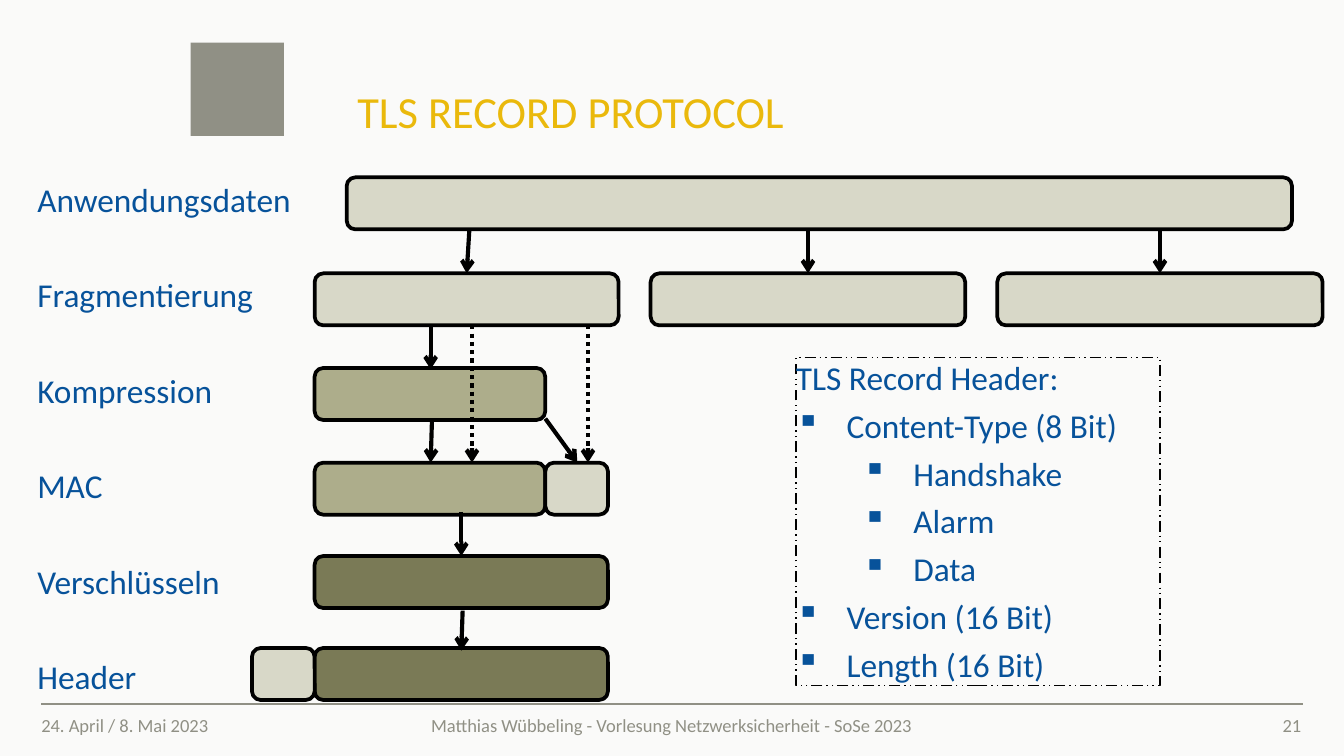
from dataclasses import dataclass
from typing import Any, Optional

from lxml.etree import SubElement
from pptx import Presentation
from pptx.dml.color import RGBColor
from pptx.enum.dml import MSO_LINE
from pptx.enum.shapes import MSO_CONNECTOR, MSO_SHAPE
from pptx.enum.text import MSO_ANCHOR, PP_ALIGN
from pptx.oxml.ns import qn
from pptx.util import Inches, Pt

PAPER = RGBColor(0xFA, 0xFA, 0xF9)
BLUE = RGBColor(0x07, 0x52, 0x9A)
YELLOW = RGBColor(0xEA, 0xB9, 0x0C)
GREY = RGBColor(0x90, 0x90, 0x85)
PLAIN = RGBColor(0xD8, 0xD8, 0xC8)
PACKED = RGBColor(0xAD, 0xAD, 0x8B)
ENCRYPTED = RGBColor(0x7A, 0x7A, 0x56)
BLACK = RGBColor(0x00, 0x00, 0x00)

BAR_HEIGHT = 0.39
APPLICATION, FRAGMENT, COMPRESSION, MAC, ENCRYPTION, HEADER = 1.33, 2.05, 2.76, 3.47, 4.17, 4.86


@dataclass(frozen=True)
class Bar:
    left: float
    top: float
    width: float
    color: RGBColor


@dataclass(frozen=True)
class Line:
    x1: float
    y1: float
    x2: float
    y2: float
    dash: Optional[MSO_LINE] = None


@dataclass(frozen=True)
class Footer:
    left: float
    width: float
    text: str
    align: PP_ALIGN


@dataclass(frozen=True)
class Item:
    text: str
    level: int = 0
    bullet: str = "▪"


BARS = [
    Bar(2.6, APPLICATION, 7.09, PLAIN),
    Bar(2.36, FRAGMENT, 2.28, PLAIN),
    Bar(4.88, FRAGMENT, 2.36, PLAIN),
    Bar(7.48, FRAGMENT, 2.44, PLAIN),
    Bar(2.36, COMPRESSION, 1.73, PACKED),
    Bar(2.36, MAC, 1.73, PACKED),
    Bar(4.09, MAC, 0.47, PLAIN),
    Bar(2.36, ENCRYPTION, 2.2, ENCRYPTED),
    Bar(2.36, HEADER, 2.2, ENCRYPTED),
    Bar(1.89, HEADER, 0.47, PLAIN),
]
ARROWS = [
    Line(3.52, 1.73, 3.5, FRAGMENT),
    Line(6.06, 1.72, 6.06, FRAGMENT),
    Line(8.7, 1.72, 8.7, FRAGMENT),
    Line(3.23, 2.44, 3.23, 2.77),
    Line(3.46, 3.84, 3.46, ENCRYPTION),
    Line(3.47, 4.58, 3.46, 4.88),
    Line(3.24, 3.15, 3.23, MAC),
    Line(4.09, 3.14, 4.33, MAC),
    Line(4.41, 2.44, 4.41, MAC, MSO_LINE.ROUND_DOT),
    Line(3.54, 2.44, 3.54, MAC, MSO_LINE.ROUND_DOT),
]
FOOTERS = [
    Footer(0.31, 1.6, "24. April / 8. Mai 2023", PP_ALIGN.LEFT),
    Footer(2.28, 5.51, "Matthias Wübbeling - Vorlesung Netzwerksicherheit - SoSe 2023", PP_ALIGN.CENTER),
    Footer(9.13, 0.63, "21", PP_ALIGN.RIGHT),
]
LABELS = ["Anwendungsdaten", "Fragmentierung", "Kompression", "MAC", "Verschlüsseln", "Header"]
RECORD_HEADER = [
    Item("TLS Record Header:", bullet=""),
    Item("Content-Type (8 Bit)"),
    Item("Handshake", 1),
    Item("Alarm", 1),
    Item("Data", 1),
    Item("Version (16 Bit)"),
    Item("Length (16 Bit)"),
]


def apply_format(target: Any, values: dict[str, Any]) -> None:
    for name, value in values.items():
        setattr(target, name, value)


def clear_margins(frame: Any, anchor: MSO_ANCHOR) -> None:
    apply_format(frame, {
        "margin_left": 0, "margin_top": 0, "margin_right": 0, "margin_bottom": 0,
        "word_wrap": True, "vertical_anchor": anchor,
    })


def write(para: Any, text: str, size: float, color: RGBColor, values: dict[str, Any]) -> None:
    apply_format(para, values)
    span = para.add_run()
    span.text = text
    apply_format(span.font, {"name": "Calibri", "size": Pt(size), "bold": False})
    span.font.color.rgb = color


def paragraph_at(frame: Any, index: int) -> Any:
    return frame.add_paragraph() if index else frame.paragraphs[0]


def draw_shape(page: Any, kind: MSO_SHAPE, left: float, top: float, width: float, height: float,
               fill: Optional[RGBColor], line_width: float) -> Any:
    shape = page.shapes.add_shape(kind, Inches(left), Inches(top), Inches(width), Inches(height))
    shape.shadow.inherit = False
    if fill is None:
        shape.fill.background()
    else:
        shape.fill.solid()
        shape.fill.fore_color.rgb = fill
    if line_width:
        shape.line.color.rgb = BLACK
        shape.line.width = Pt(line_width)
    else:
        shape.line.fill.background()
    return shape


def draw_line(page: Any, line: Line, color: RGBColor, width: float, arrow: bool) -> None:
    connector = page.shapes.add_connector(
        MSO_CONNECTOR.STRAIGHT, Inches(line.x1), Inches(line.y1), Inches(line.x2), Inches(line.y2))
    connector.line.color.rgb = color
    apply_format(connector.line, {"width": Pt(width), "dash_style": line.dash})
    properties = connector.element.spPr
    if arrow:
        SubElement(properties.find(qn("a:ln")), qn("a:tailEnd"), type="arrow")
    SubElement(properties, qn("a:effectLst"))


def draw_title(page: Any) -> None:
    title = page.shapes.title
    apply_format(title, {"left": Inches(2.68), "top": Inches(0.32),
                         "width": Inches(7.09), "height": Inches(0.71)})
    clear_margins(title.text_frame, MSO_ANCHOR.BOTTOM)
    write(title.text_frame.paragraphs[0], "TLS RECORD PROTOCOL", 24, YELLOW,
          {"alignment": PP_ALIGN.LEFT, "line_spacing": Pt(26)})


def draw_footer(page: Any, footer: Footer) -> None:
    box = page.shapes.add_textbox(Inches(footer.left), Inches(5.28), Inches(footer.width), Inches(0.31))
    clear_margins(box.text_frame, MSO_ANCHOR.MIDDLE)
    write(box.text_frame.paragraphs[0], footer.text, 10, GREY, {"alignment": footer.align})


def draw_labels(page: Any) -> None:
    box = page.shapes.add_textbox(Inches(0.28), Inches(1.34), Inches(2.16), Inches(3.89))
    clear_margins(box.text_frame, MSO_ANCHOR.TOP)
    for index, label in enumerate(LABELS):
        write(paragraph_at(box.text_frame, index), label, 18, BLUE, {"space_after": Pt(30)})


def draw_record_header(page: Any) -> None:
    box = draw_shape(page, MSO_SHAPE.RECTANGLE, 5.97, 2.68, 2.73, 2.46, None, 0.75)
    box.line.dash_style = MSO_LINE.DASH_DOT_DOT
    clear_margins(box.text_frame, MSO_ANCHOR.TOP)
    for index, item in enumerate(RECORD_HEADER):
        para = paragraph_at(box.text_frame, index)
        properties = para._p.get_or_add_pPr()
        properties.set("marL", str(Inches(0.38 + 0.5 * item.level)))
        properties.set("indent", str(Inches(-0.38)))
        if item.bullet:
            SubElement(properties, qn("a:buChar"), char=item.bullet)
        write(para, item.text, 18, BLUE,
              {"level": item.level, "alignment": PP_ALIGN.LEFT, "space_after": Pt(4.2)})


def main() -> None:
    deck = Presentation()
    apply_format(deck, {"slide_width": Inches(10.08), "slide_height": Inches(5.67)})
    page = deck.slides.add_slide(deck.slide_layouts[5])
    page.background.fill.solid()
    page.background.fill.fore_color.rgb = PAPER
    draw_shape(page, MSO_SHAPE.RECTANGLE, 1.43, 0.32, 0.7, 0.7, GREY, 0)
    draw_line(page, Line(0.31, 5.28, 9.77, 5.28), GREY, 1, False)
    draw_title(page)
    for footer in FOOTERS:
        draw_footer(page, footer)
    for bar in BARS:
        draw_shape(page, MSO_SHAPE.ROUNDED_RECTANGLE, bar.left, bar.top, bar.width, BAR_HEIGHT, bar.color, 2)
    draw_labels(page)
    for arrow in ARROWS:
        draw_line(page, arrow, BLACK, 2.25, True)
    draw_record_header(page)
    deck.save("out.pptx")


if __name__ == "__main__":
    main()
